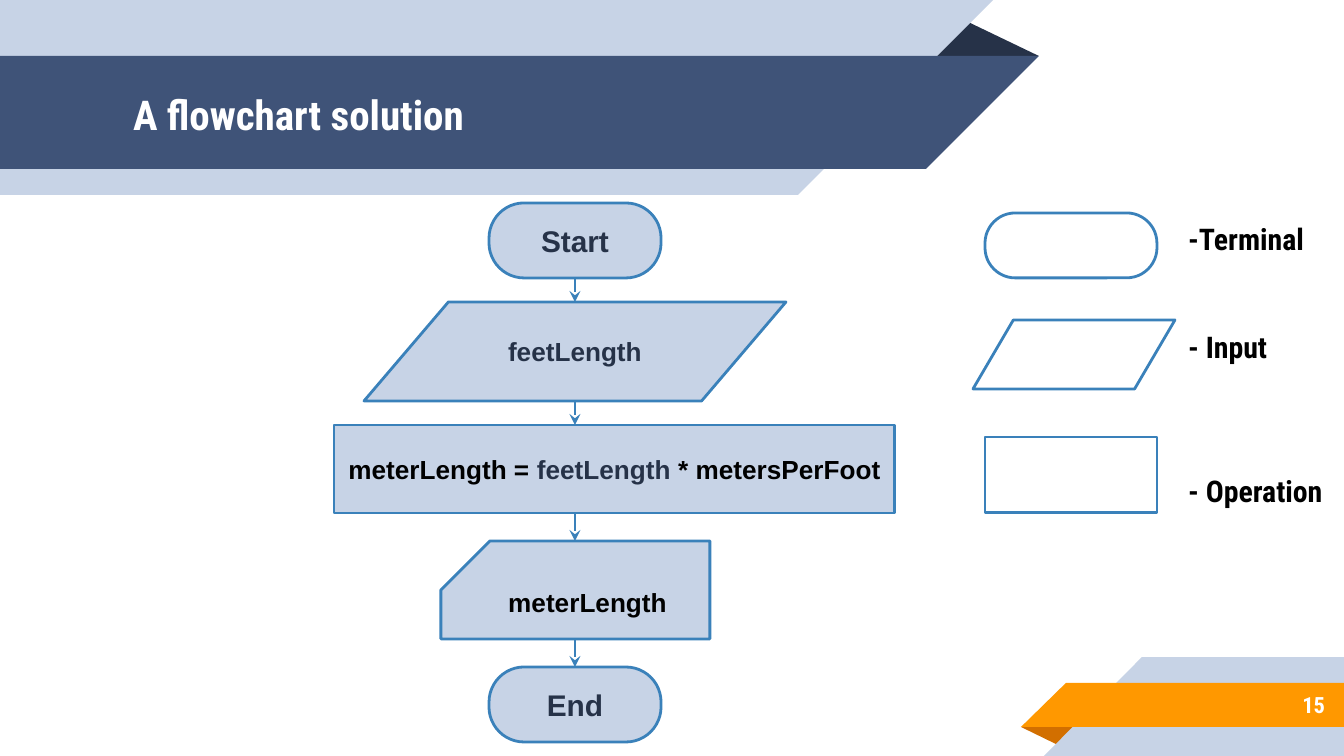
"""Build the flowchart solution slide."""
from itertools import pairwise

from lxml import etree
from pptx import Presentation
from pptx.dml.color import RGBColor
from pptx.enum.shapes import MSO_CONNECTOR, MSO_SHAPE
from pptx.enum.text import MSO_ANCHOR, PP_ALIGN
from pptx.oxml.ns import qn
from pptx.util import Pt

PX = 914400 / 134.4
W, H = 1344, 756
HEAD, BODY = "Roboto Condensed", "Arial"
COLORS = {
    "pale": "C7D3E6", "navy": "3F5378", "ink": "263248", "orange": "FF9800",
    "rust": "D26F00", "blue": "3A81BA", "white": "FFFFFF", "black": "000000",
}
RIBBONS = [
    ("ink", [(925, 56), (962, 19), (1039, 56)]),
    ("pale", [(0, 0), (993, 0), (798, 195), (0, 195)]),
    ("navy", [(0, 56), (1039, 56), (926, 169), (0, 169)]),
    ("rust", [(1021, 727), (1079, 727), (1060, 746)]),
    ("pale", [(1142, 657), (W, 657), (W, H), (1044, H)]),
    ("orange", [(1066, 683), (W, 683), (W, 727), (1021, 727)]),
]
TERMINAL, INPUT = MSO_SHAPE.ROUNDED_RECTANGLE, MSO_SHAPE.FLOWCHART_DATA
OPERATION, OUTPUT = MSO_SHAPE.RECTANGLE, MSO_SHAPE.SNIP_1_RECTANGLE
ADJUST = {TERMINAL: 0.467, OUTPUT: 0.5}
FLOW_X = 575
STEPS = [
    (TERMINAL, (489, 203, 172, 75), 16, [("Start", "ink")]),
    (INPUT, (364, 302, 422, 99), 14, [("feetLength", "ink")]),
    (OPERATION, (334, 425, 561, 88), 14, [
        ("meterLength = ", "black"), ("feetLength", "ink"), (" * metersPerFoot", "black")]),
    (OUTPUT, (441, 541, 269, 98), 14, [("meterLength", "black")]),
    (TERMINAL, (489, 667, 172, 75), 16, [("End", "ink")]),
]
LEGEND = [
    (TERMINAL, (985, 213, 172, 65), "-Terminal", 0),
    (INPUT, (973, 320, 202, 69), "- Input", 72),
    (OPERATION, (985, 437, 172, 76), "- Operation", 108),
]


def emu(*px):
    return [round(v * PX) for v in px]


def rgb(name):
    return RGBColor.from_string(COLORS[name])


def add_run(p, text, size, font, color):
    r = p.add_run()
    r.text = text
    r.font.size, r.font.name, r.font.bold = Pt(size), font, True
    r.font.color.rgb = rgb(color)


def set_frame(tf, inset=13, wrap=True):
    tf.word_wrap = wrap
    tf.vertical_anchor = MSO_ANCHOR.MIDDLE
    tf.margin_left = tf.margin_right = tf.margin_top = tf.margin_bottom = emu(inset)[0]


def add_symbol(kind, box, fill=None):
    sp = s.shapes.add_shape(kind, *emu(*box))
    sp.shadow.inherit = False
    if kind in ADJUST:
        sp.adjustments[0] = ADJUST[kind]
    if kind == OUTPUT:
        sp.element.spPr.find(qn("a:xfrm")).set("flipH", "1")
    if fill:
        sp.fill.solid()
        sp.fill.fore_color.rgb = rgb(fill)
    else:
        sp.fill.background()
    sp.line.color.rgb, sp.line.width = rgb("blue"), Pt(1.5)
    return sp


def add_arrow(top, bottom):
    c = s.shapes.add_connector(MSO_CONNECTOR.STRAIGHT, *emu(FLOW_X, top, FLOW_X, bottom))
    c.line.color.rgb, c.line.width = rgb("blue"), Pt(1.5)
    etree.SubElement(c.line._get_or_add_ln(), qn("a:tailEnd"), type="stealth")
    etree.SubElement(c.element.spPr, qn("a:effectLst"))


prs = Presentation()
prs.slide_width, prs.slide_height = emu(W, H)
s = prs.slides.add_slide(prs.slide_layouts[5])

for color, points in RIBBONS:
    builder = s.shapes.build_freeform(*points[0], scale=PX)
    builder.add_line_segments(points[1:], close=True)
    sp = builder.convert_to_shape()
    sp.shadow.inherit = False
    sp.fill.solid()
    sp.fill.fore_color.rgb = rgb(color)
    sp.line.fill.background()

title = s.shapes.title
title.left, title.top, title.width, title.height = emu(120, 58, 773, 113)
s.shapes._spTree.append(title.element)
set_frame(title.text_frame)
p = title.text_frame.paragraphs[0]
p.alignment = PP_ALIGN.LEFT
add_run(p, "A flowchart solution", 22, HEAD, "white")

number = s.shapes.add_textbox(*emu(1119, 681, 219, 47))
set_frame(number.text_frame)
p = number.text_frame.paragraphs[0]
p.alignment = PP_ALIGN.RIGHT
add_run(p, "15", 12, HEAD, "white")

for (_, upper, *_), (_, lower, *_) in pairwise(STEPS):
    add_arrow(upper[1] + upper[3], lower[1])

for kind, box, size, runs in STEPS:
    tf = add_symbol(kind, box, "pale").text_frame
    set_frame(tf, wrap=False)
    p = tf.paragraphs[0]
    p.alignment = PP_ALIGN.CENTER
    for text, color in runs:
        add_run(p, text, size, BODY, color)

labels = s.shapes.add_textbox(*emu(1175, 214, 163, 304)).text_frame
labels.word_wrap = True
for i, (kind, box, text, gap) in enumerate(LEGEND):
    add_symbol(kind, box)
    p = labels.add_paragraph() if i else labels.paragraphs[0]
    p.space_before = emu(gap)[0]
    add_run(p, text, 16, HEAD, "black")

prs.save("out.pptx")
